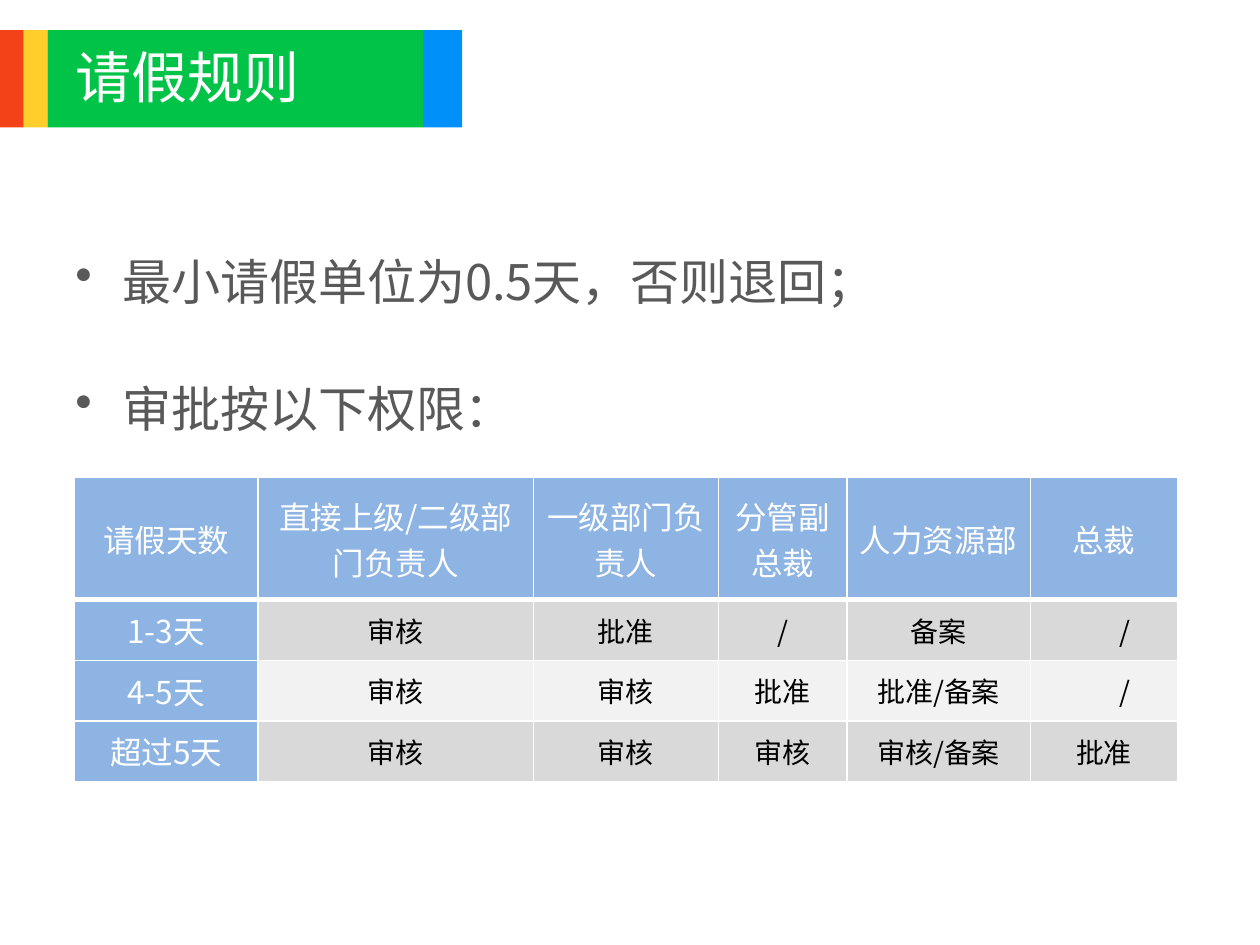
import pptx
import pptx.util
import pptx.dml.color
import pptx.enum.shapes
import pptx.enum.text
import pptx.oxml
import pptx.oxml.ns

Cm, Pt = pptx.util.Cm, pptx.util.Pt
RGBColor = pptx.dml.color.RGBColor
ALIGN = pptx.enum.text.PP_ALIGN
ANCHOR = pptx.enum.text.MSO_ANCHOR
FIT = pptx.enum.text.MSO_AUTO_SIZE

FONT = "Noto Sans CJK SC"
WHITE = RGBColor(0xFF, 0xFF, 0xFF)
BLACK = RGBColor(0, 0, 0)
GREY = RGBColor(0x59, 0x59, 0x59)
HEAD = RGBColor(0x8E, 0xB4, 0xE3)
BANDS = [RGBColor(0xD9, 0xD9, 0xD9), RGBColor(0xF2, 0xF2, 0xF2)]

TITLE = "请假规则"
RULES = ["最小请假单位为0.5天，否则退回；", "审批按以下权限："]
STRIPES = [  # width in cm, colour; laid side by side from the left edge
    (0.48, RGBColor(0xF4, 0x42, 0x18)),
    (0.48, RGBColor(0xFF, 0xCE, 0x2B)),
    (7.57, RGBColor(0x00, 0xC3, 0x48)),
    (0.79, RGBColor(0x00, 0x90, 0xFA)),
]
ROWS = [
    ["请假天数", "直接上级/二级部门负责人", "一级部门负责人", "分管副总裁", "人力资源部", "总裁"],
    ["1-3天", "审核", "批准", "/", "备案", "/"],
    ["4-5天", "审核", "审核", "批准", "批准/备案", "/"],
    ["超过5天", "审核", "审核", "审核", "审核/备案", "批准"],
]
WIDTHS = [3.7, 5.55, 3.73, 2.59, 3.7, 2.97]
HEIGHTS = [2.46, 1.22, 1.22, 1.22]


def style(para, size, color):
    for run in para.runs:
        font = run.font
        font.size, font.name = Pt(size), FONT
        font.color.rgb = color
        east = pptx.oxml.parse_xml(
            f'<a:ea {pptx.oxml.ns.nsdecls("a")} typeface="{FONT}"/>')
        run._r.rPr.find(pptx.oxml.ns.qn("a:latin")).addnext(east)


def indent(para, left, first):
    props = para._p.get_or_add_pPr()
    props.set("marL", str(Cm(left)))
    props.set("indent", str(Cm(first)))
    return props


def add_text(slide, box, lines, size, color):
    frame = slide.shapes.add_textbox(*map(Cm, box)).text_frame
    frame.word_wrap = True
    frame.text = "\n".join(lines)
    for para in frame.paragraphs:
        style(para, size, color)
    return frame


def border(cell, bottom):
    """Draw white cell edges, 1 pt except for the bottom one."""
    props = cell._tc.get_or_add_tcPr()
    for spot, (side, width) in enumerate(
            [("L", 1), ("R", 1), ("T", 1), ("B", bottom)]):
        props.insert(spot, pptx.oxml.parse_xml(
            f'<a:ln{side} {pptx.oxml.ns.nsdecls("a")} w="{Pt(width)}">'
            f'<a:solidFill><a:srgbClr val="{WHITE}"/></a:solidFill>'
            f'</a:ln{side}>'))


def add_stripes(slide):
    left = 0
    for width, color in STRIPES:
        bar = slide.shapes.add_shape(
            pptx.enum.shapes.MSO_SHAPE.RECTANGLE,
            Cm(left), Cm(0.61), Cm(width), Cm(1.96))
        bar.shadow.inherit = False
        bar.fill.solid()
        bar.fill.fore_color.rgb = color
        bar.line.fill.background()
        left += width


def add_rules(slide):
    frame = add_text(slide, (1.27, 3.76, 22.86, 5.89), RULES, 28, GREY)
    frame.auto_size = FIT.TEXT_TO_FIT_SHAPE
    for para in frame.paragraphs:
        para.line_spacing = 2.0
        para.space_before = Pt(5.6)
        indent(para, 0.95, -0.95).append(pptx.oxml.parse_xml(
            f'<a:buChar {pptx.oxml.ns.nsdecls("a")} char="•"/>'))


def fill_cell(cell, text, row, col):
    head = row == 0 or col == 0
    cell.fill.solid()
    cell.fill.fore_color.rgb = HEAD if head else BANDS[(row - 1) % 2]
    cell.vertical_anchor = ANCHOR.MIDDLE
    cell.margin_left = cell.margin_right = Cm(0.18)
    cell.margin_top = cell.margin_bottom = 0
    cell.text = text
    para = cell.text_frame.paragraphs[0]
    para.alignment = ALIGN.CENTER
    style(para, 18 if head else 16, WHITE if head else BLACK)
    if text == "/" and col == len(WIDTHS) - 1:
        indent(para, 0, 0.84)
    border(cell, 3 if row == 0 else 1)


def add_rights(slide):
    table = slide.shapes.add_table(
        len(ROWS), len(WIDTHS), Cm(1.5), Cm(9.63),
        Cm(sum(WIDTHS)), Cm(sum(HEIGHTS))).table
    for column, width in zip(table.columns, WIDTHS):
        column.width = Cm(width)
    for line, height in zip(table.rows, HEIGHTS):
        line.height = Cm(height)
    for row, texts in enumerate(ROWS):
        for col, text in enumerate(texts):
            fill_cell(table.cell(row, col), text, row, col)


def main():
    deck = pptx.Presentation()
    deck.slide_width, deck.slide_height = Cm(25.4), Cm(19.05)
    slide = deck.slides.add_slide(deck.slide_layouts[6])
    add_stripes(slide)
    title = add_text(slide, (1.27, -0.05, 22.86, 3.18), [TITLE], 32, WHITE)
    title.vertical_anchor = ANCHOR.MIDDLE
    add_rules(slide)
    add_rights(slide)
    deck.save("out.pptx")


if __name__ == "__main__":
    main()
